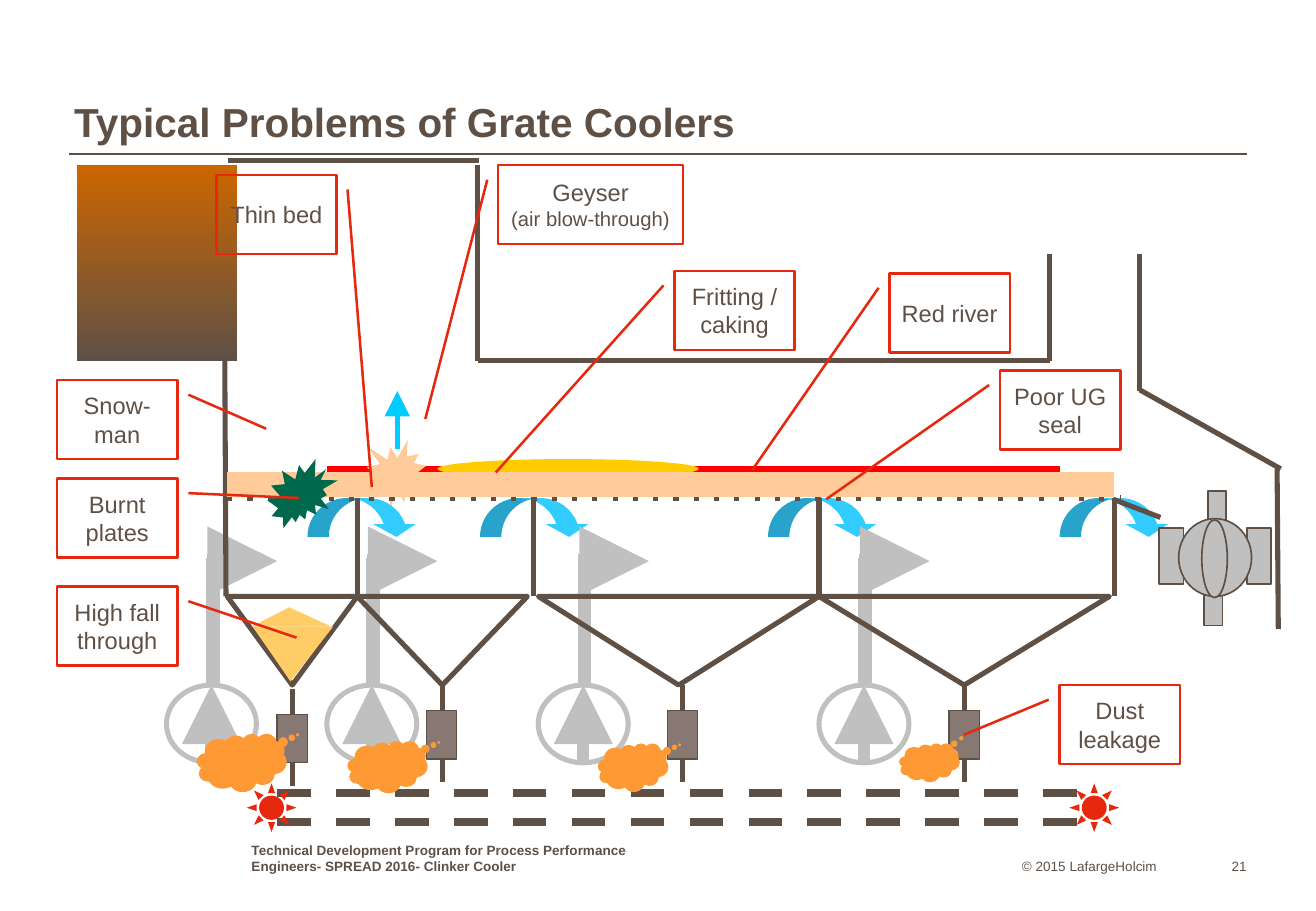
from pptx import Presentation
from pptx.dml.color import RGBColor
from pptx.enum.shapes import MSO_CONNECTOR, MSO_SHAPE as SHP
from pptx.enum.text import MSO_ANCHOR as ANCHOR, PP_ALIGN as ALIGN
from pptx.oxml.ns import qn
from pptx.oxml.xmlchemy import OxmlElement
from pptx.util import Inches, Pt

BROWN, GREY, RED, SAND = "5F5046", "C0C0C0", "E6280F", "FFCC99"
SKY, ORANGE, CHUTE, PILE = "33CCFF", "FF9933", "877873", "FFCC66"

TITLE = "Typical Problems of Grate Coolers"
FOOTER = ("Technical Development Program for Process Performance "
          "Engineers- SPREAD 2016- Clinker Cooler")
COPYRIGHT = "© 2015 LafargeHolcim"
PAGE = "21"

# lines of (text, size), box left, top, width, leader target
CALLOUTS = [
    ([("Burnt plates", 14)], 0.47, 3.94, 0.99, (2.46, 4.1)),
    ([("Snow-man", 14)], 0.47, 3.13, 0.99, (2.19, 3.53)),
    ([("Geyser", 14), ("(air blow-through)", 12)], 4.1, 1.36, 1.52, (3.5, 3.45)),
    ([("Fritting / caking", 14)], 5.55, 2.23, 0.99, (4.08, 3.89)),
    ([("Red river", 14)], 7.32, 2.25, 0.99, (6.19, 3.87)),
    ([("Thin bed", 14)], 1.78, 1.44, 0.99, (3.06, 4.01)),
    ([("Dust leakage", 14)], 8.72, 5.64, 0.99, (7.93, 6.05)),
    ([("Poor UG seal", 14)], 8.23, 3.05, 0.99, (6.8, 4.11)),
    ([("High fall through", 14)], 0.47, 4.83, 0.99, (2.44, 5.25)),
]
CALLOUT_H, LEADER_DROP, LEADER_GAP = 0.65, 0.12, 0.09

AIR_LEAKS = [2.53, 3.95, 6.32, 8.72]
FANS = [1.37, 2.69, 4.43, 6.74]
PARTITIONS = [2.94, 4.39, 6.74, 9.17]
HOPPERS = [(1.87, 1.07), (2.94, 1.4), (4.43, 2.31), (6.74, 2.39)]  # left, width
CHUTES = [(2.41, 5.67), (3.64, 5.64), (5.62, 5.64), (7.94, 5.64)]  # x, top
WALLS = [
    (1.85, 2.97, 1.86, 4.91), (9.38, 2.09, 9.38, 3.22),
    (3.93, 2.97, 8.64, 2.97), (8.64, 2.09, 8.64, 2.97),
    (3.93, 1.36, 3.93, 2.97), (1.88, 1.32, 3.94, 1.32),
    (10.54, 3.86, 9.38, 3.21), (10.51, 3.86, 10.52, 5.18),
    (9.55, 4.26, 9.16, 4.11),
]
CRUSHER = [
    (SHP.RECTANGLE, 9.91, 4.69, 0.15, 0.46), (SHP.RECTANGLE, 10.26, 4.35, 0.2, 0.46),
    (SHP.RECTANGLE, 9.54, 4.35, 0.2, 0.46), (SHP.RECTANGLE, 9.94, 4.04, 0.15, 0.46),
    (SHP.OVAL, 9.7, 4.27, 0.6, 0.64), (SHP.OVAL, 9.89, 4.28, 0.21, 0.64),
]
CONVEYOR_Y = [6.53, 6.77]
SUNS = [2.03, 8.8]
DUST = [  # left, top, width, height, tail
    (1.62, 6.04, 0.74, 0.48, (0.62, -0.48)), (2.86, 6.1, 0.66, 0.43, (0.64, -0.47)),
    (4.92, 6.12, 0.58, 0.4, (0.66, -0.47)), (7.4, 6.12, 0.5, 0.32, (0.61, -0.74)),
]

prs = Presentation()
prs.slide_width, prs.slide_height = Inches(10.83), Inches(7.5)
slide = prs.slides.add_slide(prs.slide_layouts[5])


def rgb(value):
    return RGBColor.from_string(value)


def add_line(x1, y1, x2, y2, color=BROWN, width=3, dash=None, arrow=False):
    s = slide.shapes.add_connector(
        MSO_CONNECTOR.STRAIGHT, *[Inches(v) for v in (x1, y1, x2, y2)])
    s.line.color.rgb, s.line.width = rgb(color), Pt(width)
    sp_pr = s._element.spPr
    ln = sp_pr.find(qn("a:ln"))
    if dash:
        el = OxmlElement("a:prstDash")
        el.set("val", dash)
        ln.append(el)
    if arrow:
        el = OxmlElement("a:tailEnd")
        for key, val in {"type": "triangle", "w": "lg", "len": "lg"}.items():
            el.set(key, val)
        ln.append(el)
    sp_pr.append(OxmlElement("a:effectLst"))


def add_shape(kind, x, y, w, h, fill=None, line=None, width=1, adj=(), rotation=0):
    s = slide.shapes.add_shape(kind, *[Inches(v) for v in (x, y, w, h)])
    s.shadow.inherit = False
    s.rotation = rotation
    for i, val in enumerate(adj):
        s.adjustments[i] = val
    if fill:
        s.fill.solid()
        s.fill.fore_color.rgb = rgb(fill)
    else:
        s.fill.background()
    if line:
        s.line.color.rgb, s.line.width = rgb(line), Pt(width)
    else:
        s.line.fill.background()
    return s


def write(s, lines, margins, anchor, align, bold=False, wrap=True):
    """Put (text, size) lines into one paragraph of a shape."""
    tf = s.text_frame
    tf.word_wrap, tf.vertical_anchor = wrap, anchor
    for side, val in zip(("left", "top", "right", "bottom"), margins):
        setattr(tf, f"margin_{side}", Inches(val))
    p = tf.paragraphs[0]
    p.alignment = align
    for i, (text, size) in enumerate(lines):
        if i:
            p.add_line_break()
        r = p.add_run()
        r.text = text
        for key, val in {"name": "Arial", "size": Pt(size), "bold": bold}.items():
            setattr(r.font, key, val)
        r.font.color.rgb = rgb(BROWN)
    return p


def add_footer(text, x, w, align=ALIGN.LEFT, bold=False, wrap=False):
    s = slide.shapes.add_textbox(Inches(x), Inches(7.02), Inches(w), Inches(0.18))
    write(s, [(text, 8)], (0, 0, 0, 0), ANCHOR.BOTTOM, align, bold, wrap)


def add_fan(x):
    add_shape(SHP.OVAL, x, 5.64, 0.74, 0.64, line=GREY, width=3)
    add_line(x + 0.37, 6.28, x + 0.37, 5.64, GREY, 7, arrow=True)
    add_line(x + 0.33, 4.62, x + 0.91, 4.62, GREY, 8.25, arrow=True)
    add_line(x + 0.38, 5.64, x + 0.38, 4.59, GREY, 8.25)


def add_callout(lines, x, y, w, target):
    start = -LEADER_GAP if target[0] < x else w + LEADER_GAP
    adj = (LEADER_DROP / CALLOUT_H, start / w,
           (target[1] - y) / CALLOUT_H, (target[0] - x) / w)
    s = add_shape(SHP.LINE_CALLOUT_1, x, y, w, CALLOUT_H, line=RED, width=1.5, adj=adj)
    side = 0.1 if len(lines) == 1 else 0.04
    write(s, lines, (side, 0.05, side, 0.05), ANCHOR.MIDDLE, ALIGN.CENTER)


# Title and footer
title = slide.shapes.title
for key, val in {"left": 0.61, "top": 0.35, "width": 9.6, "height": 0.87}.items():
    setattr(title, key, Inches(val))
write(title, [(TITLE, 24)], (0, 0, 0, 0.01), ANCHOR.BOTTOM, ALIGN.LEFT,
      bold=True).line_spacing = 0.95
add_line(0.57, 1.27, 10.26, 1.27, width=1)
add_footer(COPYRIGHT, 8.41, 1.32)
add_footer(PAGE, 9.79, 0.47, ALIGN.RIGHT)
add_footer(FOOTER, 2.07, 3.47, bold=True, wrap=True)

# Clinker bed and air
add_line(2.69, 3.86, 8.72, 3.86, "FF0000", 3.75)
add_shape(SHP.EXPLOSION1, 3.02, 3.62, 0.5, 0.57, SAND)
for x in AIR_LEAKS:
    add_shape(SHP.CURVED_DOWN_ARROW, x, 4.1, 0.91, 0.32, SKY, adj=(0.55, 1.1, 0.33))
add_shape(SHP.OVAL, 3.6, 3.78, 2.15, 0.16, "FFCC00")
add_line(3.27, 3.7, 3.27, 3.22, "00CCFF", arrow=True)
kiln = add_shape(SHP.RECTANGLE, 0.63, 1.36, 1.32, 1.61)
kiln.fill.gradient()
kiln.fill.gradient_angle = 270
for stop, color, position in zip(kiln.fill.gradient_stops, ("CC6600", BROWN), (0, 1)):
    stop.color.rgb, stop.position = rgb(color), position
add_line(1.87, 4.1, 9.22, 4.1, dash="dot")

# Cooler housing
for x in FANS:
    add_fan(x)
for x in PARTITIONS:
    add_line(x, 4.1, x, 4.91)
for x, w in HOPPERS:
    add_shape(SHP.ISOSCELES_TRIANGLE, x, 4.91, w, 0.73, line=BROWN, width=3, rotation=180)
for wall in WALLS:
    add_line(*wall)
add_line(1.87, 3.99, 9.17, 3.99, SAND, 15)
for part in CRUSHER:
    add_shape(*part, GREY, BROWN)
for x, y in CHUTES:
    add_line(x, y, x, y + 0.8)
    add_shape(SHP.RECTANGLE, x - 0.13, y + 0.21, 0.25, 0.4, CHUTE, BROWN, 0.75)

# Conveyor, dust and damage
for y in CONVEYOR_Y:
    add_line(2.28, y, 9.05, y, width=5, dash="dash")
for x in SUNS:
    add_shape(SHP.SUN, x, 6.45, 0.41, 0.4, RED, adj=(0.25,))
for *box, tail in DUST:
    add_shape(SHP.CLOUD_CALLOUT, *box, ORANGE, adj=tail)
add_shape(SHP.EXPLOSION2, 2.2, 3.78, 0.58, 0.57, "00694B")
add_shape(SHP.ISOSCELES_TRIANGLE, 2.08, 5.16, 0.66, 0.45, PILE, adj=(0.53,), rotation=180)
add_shape(SHP.ISOSCELES_TRIANGLE, 2.07, 5, 0.66, 0.16, PILE, adj=(0.47,))

for callout in CALLOUTS:
    add_callout(*callout)

prs.save("out.pptx")
